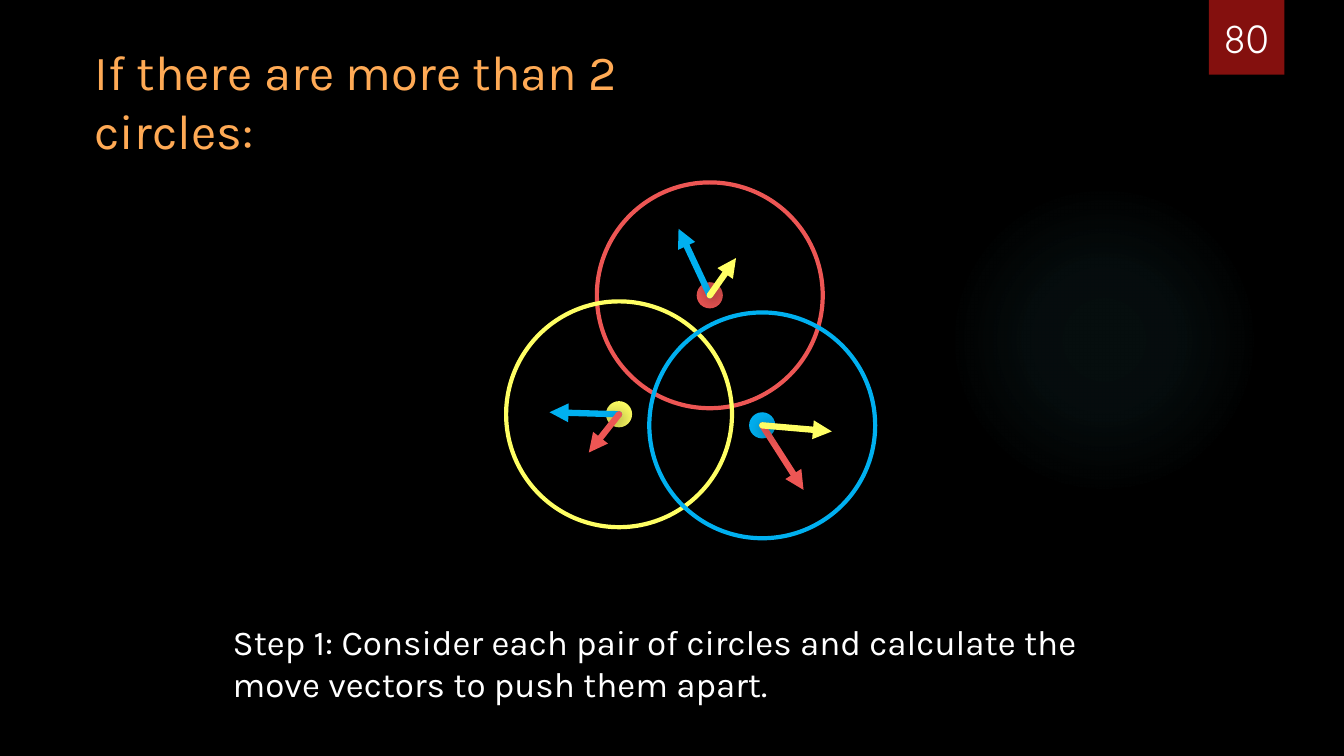
from lxml import etree
from pptx import Presentation
from pptx import util as u
from pptx.dml import color
from pptx.enum import shapes, text
from pptx.oxml import ns, parse_xml

RED, YELLOW, BLUE = "ED5654", "FFFF64", "00B0F0"
RADIUS, DOT_RADIUS = 1.12, 0.13


def rgb(value):
    return color.RGBColor.from_string(value)


class SlideBuilder:
    fonts = {"body": "Karla", "number": "Quicksand"}

    def __init__(self, presentation):
        self.slide = presentation.slides.add_slide(presentation.slide_layouts[6])

    def background(self, value):
        fill = self.slide.background.fill
        fill.solid()
        fill.fore_color.rgb = rgb(value)

    def box(self, kind, left, top, width, height, fill=None, line=None, weight=3, parent=None):
        target = (parent or self.slide).shapes
        shape = target.add_shape(kind, *map(u.Inches, (left, top, width, height)))
        shape.shadow.inherit = False
        if fill:
            shape.fill.solid()
            shape.fill.fore_color.rgb = rgb(fill)
        else:
            shape.fill.background()
        if line:
            shape.line.color.rgb = rgb(line)
            shape.line.width = u.Pt(weight)
        else:
            shape.line.fill.background()
        return shape

    def shadow(self, shape, alpha, blur, distance, angle):
        properties = shape._element.spPr
        effects = properties.find(ns.qn("a:effectLst"))
        if effects is None:
            effects = etree.SubElement(properties, ns.qn("a:effectLst"))
        outer = etree.SubElement(effects, ns.qn("a:outerShdw"), blurRad=str(u.Pt(blur)),
                                 dist=str(u.Pt(distance)), dir=str(angle * 60000),
                                 algn="ctr", rotWithShape="0")
        shade = etree.SubElement(outer, ns.qn("a:srgbClr"), val="000000")
        etree.SubElement(shade, ns.qn("a:alpha"), val=str(alpha * 1000))

    def glow(self, left, top, size, value, stops):
        shape = self.box(shapes.MSO_SHAPE.OVAL, left, top, size, size)
        entries = "".join(
            f'<a:gs pos="{position * 1000}"><a:srgbClr val="{value}">'
            f'<a:alpha val="{alpha * 1000}"/></a:srgbClr></a:gs>'
            for position, alpha in stops)
        gradient = parse_xml(
            f'<a:gradFill {ns.nsdecls("a")} rotWithShape="1"><a:gsLst>{entries}</a:gsLst>'
            '<a:path path="circle"><a:fillToRect l="50000" t="50000" r="50000" b="50000"/>'
            '</a:path></a:gradFill>')
        properties = shape._element.spPr
        properties.replace(properties.find(ns.qn("a:noFill")), gradient)

    def text(self, wording, left, top, width, height, size, value, font="body",
             align=text.PP_ALIGN.LEFT, **frame_format):
        shape = self.slide.shapes.add_textbox(*map(u.Inches, (left, top, width, height)))
        frame = shape.text_frame
        for name, setting in {"word_wrap": True, **frame_format}.items():
            setattr(frame, name, setting)
        paragraph = frame.paragraphs[0]
        paragraph.alignment = align
        run = paragraph.add_run()
        run.text = wording
        for name, setting in {"size": u.Pt(size), "name": self.fonts[font]}.items():
            setattr(run.font, name, setting)
        run.font.color.rgb = rgb(value)

    def circle(self, center, value):
        x, y = center
        group = self.slide.shapes.add_group_shape()
        for radius, style in ((RADIUS, {"line": value}), (DOT_RADIUS, {"fill": value})):
            self.box(shapes.MSO_SHAPE.OVAL, x - radius, y - radius, 2 * radius, 2 * radius,
                     parent=group, **style)

    def arrow(self, start, end, value):
        connector = self.slide.shapes.add_connector(
            shapes.MSO_CONNECTOR.STRAIGHT, *map(u.Inches, (*start, *end)))
        connector.line.color.rgb = rgb(value)
        connector.line.width = u.Pt(4.5)
        line = connector.line._get_or_add_ln()
        line.set("cap", "rnd")
        etree.SubElement(line, ns.qn("a:tailEnd"), type="triangle")
        self.shadow(connector, 40, 12, 3, 45)


def main():
    presentation = Presentation()
    presentation.slide_width = u.Inches(13.33)
    presentation.slide_height = u.Inches(7.5)
    builder = SlideBuilder(presentation)
    builder.background("000000")
    builder.glow(9.41, 1.83, 3.08, "50B9C1", [(0, 7), (36, 6), (69, 0)])
    badge = builder.box(shapes.MSO_SHAPE.RECTANGLE, 11.99, 0, 0.75, 0.74, fill="84100E")
    builder.shadow(badge, 45, 3, 2, 90)
    builder.text("80", 11.9, -0.18, 0.92, 0.84, 28, "FFFFFF", "number",
                 text.PP_ALIGN.CENTER, vertical_anchor=text.MSO_ANCHOR.BOTTOM)
    grow = text.MSO_AUTO_SIZE.SHAPE_TO_FIT_TEXT
    builder.text("If there are more than 2 circles:", 0.84, 0.36, 6.87, 0.69, 35, "FFAA55",
                 auto_size=grow)

    centers = {RED: (7.04, 2.93), YELLOW: (6.14, 4.11), BLUE: (7.56, 4.22)}
    for value, center in centers.items():
        builder.circle(center, value)

    builder.text("Step 1: Consider each pair of circles and calculate the move vectors "
                 "to push them apart.", 2.21, 6.11, 9.24, 0.94, 25, "FFFFFF", auto_size=grow)

    move_vectors = [
        (RED, BLUE, (6.73, 2.27)),
        (RED, YELLOW, (7.3, 2.56)),
        (BLUE, RED, (7.97, 4.86)),
        (BLUE, YELLOW, (8.25, 4.28)),
        (YELLOW, BLUE, (5.45, 4.09)),
        (YELLOW, RED, (5.84, 4.49)),
    ]
    for moved, pusher, tip in move_vectors:
        builder.arrow(centers[moved], tip, pusher)

    presentation.save("out.pptx")


if __name__ == "__main__":
    main()
